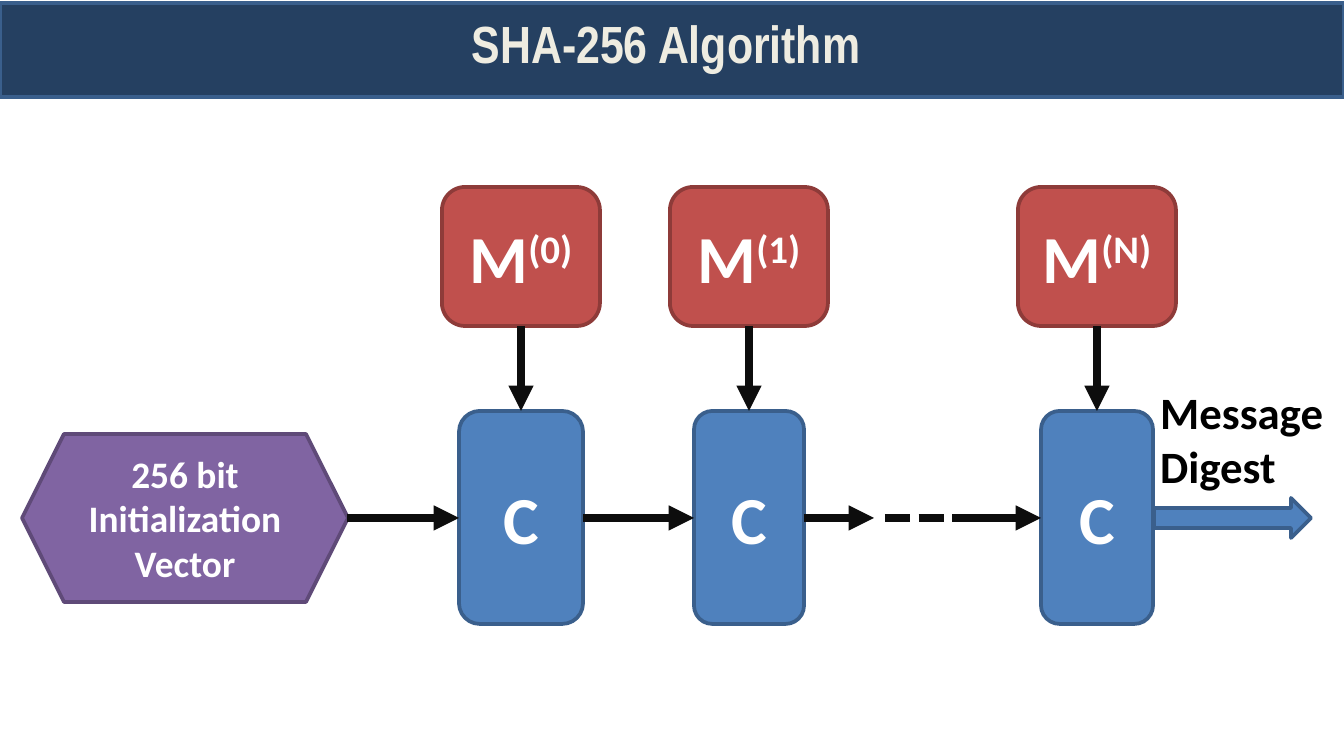
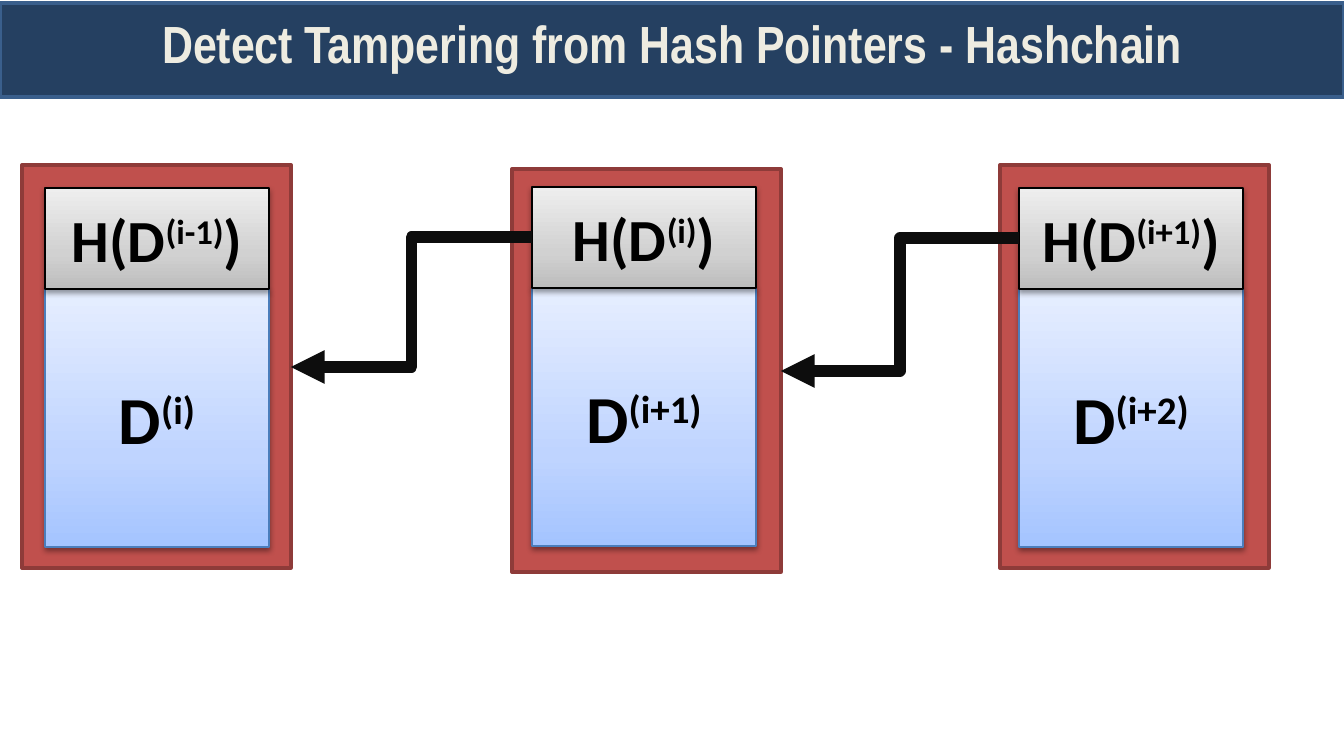
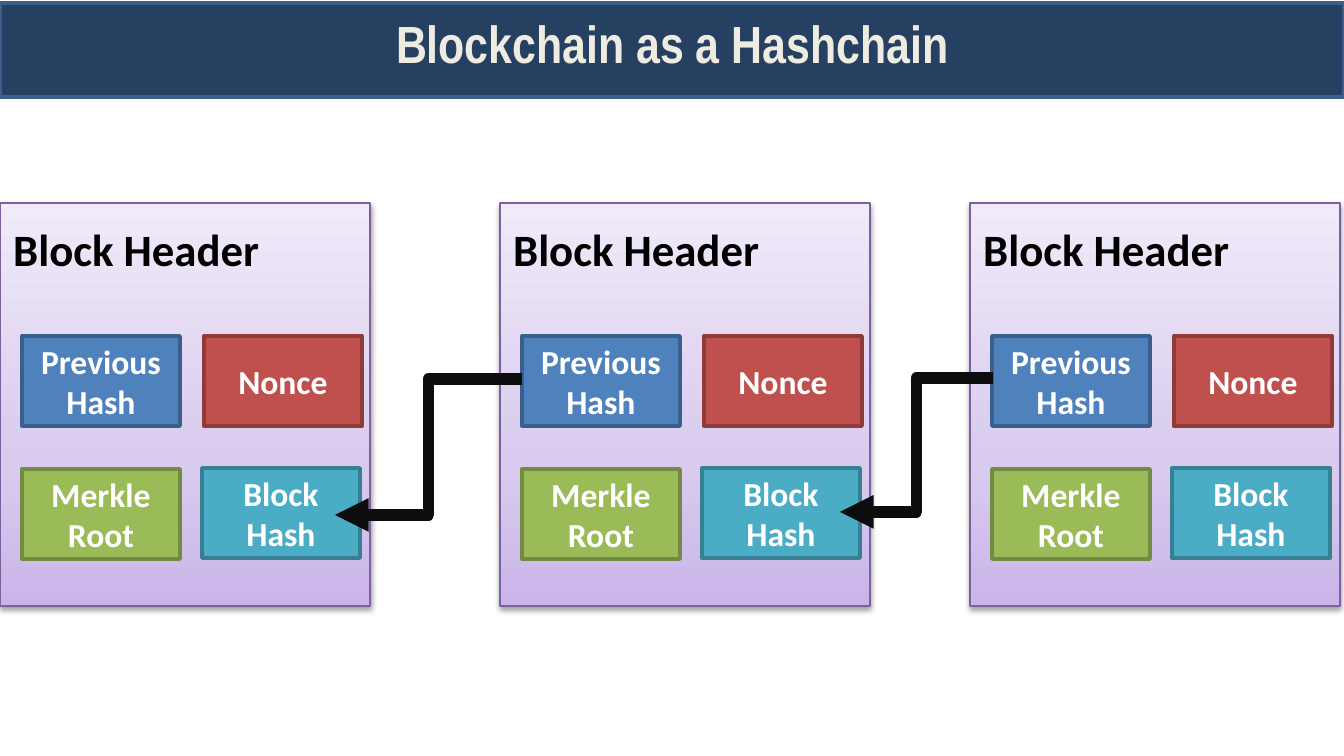
from dataclasses import dataclass
from itertools import pairwise

from lxml import etree
from pptx import Presentation
from pptx.dml.color import RGBColor
from pptx.enum.dml import MSO_LINE
from pptx.enum.shapes import MSO_CONNECTOR, MSO_SHAPE, PP_PLACEHOLDER
from pptx.enum.text import MSO_ANCHOR, MSO_AUTO_SIZE, PP_ALIGN
from pptx.oxml.ns import qn
from pptx.util import Emu, Pt

RECTANGLE = MSO_SHAPE.RECTANGLE
ROUNDED = MSO_SHAPE.ROUNDED_RECTANGLE
HEXAGON = MSO_SHAPE.HEXAGON
RIGHT_ARROW = MSO_SHAPE.RIGHT_ARROW
STRAIGHT = MSO_CONNECTOR.STRAIGHT
ELBOW = MSO_CONNECTOR.ELBOW
SHORT_DASH = MSO_LINE.SQUARE_DOT
TITLE = PP_PLACEHOLDER.TITLE
TOP = MSO_ANCHOR.TOP
MIDDLE = MSO_ANCHOR.MIDDLE
LEFT = PP_ALIGN.LEFT
CENTER = PP_ALIGN.CENTER
FIT_SHAPE = MSO_AUTO_SIZE.SHAPE_TO_FIT_TEXT
NO_FIT = MSO_AUTO_SIZE.NONE

EMU_PER_PX = 914400 / 134.4


@dataclass(frozen=True)
class Paint:
    fill: str | tuple
    line: str
    line_width: float = 2


@dataclass(frozen=True)
class Theme:
    title_font: str = "Arial Narrow"
    body_font: str = "Calibri"
    title_color: str = "EEECE1"
    light: str = "FFFFFF"
    dark: str = "000000"
    arrow: str = "0D0D0D"
    band: Paint = Paint("254061", "3A5F8C")
    blue: Paint = Paint("4F81BD", "3A5F8C")
    red: Paint = Paint("C0504D", "8E3B39")
    green: Paint = Paint("9BBB59", "738A42")
    teal: Paint = Paint("4BACC6", "377F92")
    purple: Paint = Paint("8064A2", "5F4A78")
    pale_blue: Paint = Paint(("A4C4FF", "BFD4FF", "E6EEFF"), "4B7EBC", 0.75)
    pale_gray: Paint = Paint(("BDBDBD", "D1D1D1", "EEEEEE"), "000000", 0.75)
    pale_purple: Paint = Paint(("C9B5E8", "D8CBEE", "F0EAF9"), "7D60A0", 0.75)
    title_size: int = 28
    symbol_size: int = 36
    hash_size: int = 32
    label_size: int = 24
    vector_size: int = 20
    field_size: int = 18
    chain_width: float = 4.5
    pointer_width: float = 6


THEME = Theme()


def px(*lengths):
    return [Emu(round(length * EMU_PER_PX)) for length in lengths]


def add_color(parent, color, alpha=None):
    element = etree.SubElement(parent, qn("a:srgbClr"), val=color)
    if alpha:
        etree.SubElement(element, qn("a:alpha"), val=str(alpha * 1000))


def fill_gradient(shape, colors):
    gradient = etree.SubElement(shape.element.spPr, qn("a:gradFill"), rotWithShape="1")
    stops = etree.SubElement(gradient, qn("a:gsLst"))
    for position, color in zip((0, 35, 100), colors):
        add_color(etree.SubElement(stops, qn("a:gs"), pos=str(position * 1000)), color)
    etree.SubElement(gradient, qn("a:lin"), ang=str(270 * 60000), scaled="0")


def add_soft_shadow(shape):
    effects = shape.element.spPr.find(qn("a:effectLst"))
    shadow = etree.SubElement(
        effects, qn("a:outerShdw"), blurRad=str(Pt(3.1)), dist=str(Pt(1.6)),
        dir=str(90 * 60000), rotWithShape="0",
    )
    add_color(shadow, THEME.dark, 38)


def format_run(run, size, color, font):
    run.font.size = Pt(size)
    run.font.bold = True
    run.font.name = font
    run.font.color.rgb = RGBColor.from_string(color)


def write_text(shape, parts, size, color, alignment=CENTER, font=THEME.body_font):
    paragraph = shape.text_frame.paragraphs[0]
    paragraph.alignment = alignment
    for part in parts:
        run = paragraph.add_run()
        run.text = part
        format_run(run, size, color, font)
    for superscript in shape.element.findall(".//" + qn("a:rPr"))[1::2]:
        superscript.set("baseline", "30000")


def add_box(slide, kind, bounds, paint, parts=(), size=THEME.symbol_size):
    shape = slide.shapes.add_shape(kind, *px(*bounds))
    shape.shadow.inherit = False
    shape.line.color.rgb = RGBColor.from_string(paint.line)
    shape.line.width = Pt(paint.line_width)
    text_color = THEME.light
    if isinstance(paint.fill, tuple):
        line = shape.element.spPr.find(qn("a:ln"))
        fill_gradient(shape, paint.fill)
        line.addprevious(shape.element.spPr.find(qn("a:gradFill")))
        add_soft_shadow(shape)
        text_color = THEME.dark
    else:
        shape.fill.solid()
        shape.fill.fore_color.rgb = RGBColor.from_string(paint.fill)
    if parts:
        shape.text_frame.word_wrap = True
        shape.text_frame.vertical_anchor = MIDDLE
        write_text(shape, parts, size, text_color)
    return shape


def add_label(slide, bounds, text, wrap):
    label = slide.shapes.add_textbox(*px(*bounds))
    label.text_frame.word_wrap = wrap
    label.text_frame.auto_size = FIT_SHAPE
    write_text(label, (text,), THEME.label_size, THEME.dark, LEFT)


def add_link(slide, kind, begin, end, width, dash=None):
    connector = slide.shapes.add_connector(kind, *px(*begin, *end))
    connector.line.color.rgb = RGBColor.from_string(THEME.arrow)
    connector.line.width = Pt(width)
    properties = connector.element.spPr
    if dash:
        connector.line.dash_style = dash
    else:
        etree.SubElement(properties.find(qn("a:ln")), qn("a:tailEnd"), type="triangle")
    etree.SubElement(properties, qn("a:effectLst"))


def add_titled_slide(presentation, layout, title):
    slide = presentation.slides.add_slide(layout)
    shape = slide.shapes.title
    shape.left, shape.top, shape.width, shape.height = px(0, 5, 1344, 91)
    frame = shape.text_frame
    frame.word_wrap = True
    frame.auto_size = NO_FIT
    frame.vertical_anchor = TOP
    write_text(shape, (title,), THEME.title_size, THEME.title_color, font=THEME.title_font)
    return slide


def prepare_layout(layout, slide):
    for placeholder in list(layout.placeholders):
        if placeholder.placeholder_format.type != TITLE:
            layout.shapes.element.remove(placeholder.element)
    band = add_box(slide, RECTANGLE, (0, 3, 1344, 94), THEME.band)
    layout.shapes.element.insert(2, band.element)


def draw_sha_chain(slide):
    axis = 518
    add_box(slide, HEXAGON, (22, 434, 326, 168), THEME.purple,
            ("256 bit Initialization Vector",), THEME.vector_size)
    for center, width, index in ((521, 124, "(0)"), (749, 110, "(1)"), (1097, 112, "(N)")):
        add_box(slide, ROUNDED, (center - width // 2, 411, width, 213), THEME.blue, ("C",))
        add_box(slide, ROUNDED, (center - 79, 187, 158, 139), THEME.red, ("M", index))
        add_link(slide, STRAIGHT, (center, 326), (center, 411), THEME.chain_width)
    for begin, end, dash in (
        (347, 459, None), (583, 694, None), (804, 874, None),
        (974, 1041, None), (885, 974, SHORT_DASH),
    ):
        add_link(slide, STRAIGHT, (begin, axis), (end, axis), THEME.chain_width, dash)
    add_box(slide, RIGHT_ARROW, (1154, axis - 20, 157, 40), THEME.blue)
    add_label(slide, (1147, 378, 197, 122), "Message Digest", True)


def draw_hash_pointers(slide):
    blocks = (
        (22, 165, 45, 188, "(i-1)", "(i)"),
        (512, 169, 532, 187, "(i)", "(i+1)"),
        (1000, 165, 1019, 188, "(i+1)", "(i+2)"),
    )
    for left, top, inner_left, inner_top, previous, current in blocks:
        add_box(slide, RECTANGLE, (left, top, 269, 403), THEME.red)
        add_box(slide, RECTANGLE, (inner_left, inner_top + 101, 224, 258),
                THEME.pale_blue, ("D", current))
        add_box(slide, RECTANGLE, (inner_left, inner_top, 224, 101),
                THEME.pale_gray, ("H(D", previous, ")"), THEME.hash_size)
    for target, source in pairwise(blocks):
        add_link(slide, ELBOW, (source[2], source[3] + 50),
                 (target[0] + 269, target[1] + 202), THEME.pointer_width)


def draw_blockchain(slide):
    fields = (
        (22, 336, THEME.blue, "Previous Hash"),
        (204, 336, THEME.red, "Nonce"),
        (22, 469, THEME.green, "Merkle Root"),
        (202, 468, THEME.teal, "Block Hash"),
    )
    for left in (0, 500, 970):
        add_box(slide, RECTANGLE, (left, 203, 370, 403), THEME.pale_purple)
        add_label(slide, (left, 215, 276, 67), "Block Header", False)
        for offset, top, paint, name in fields:
            add_box(slide, RECTANGLE, (left + offset, top, 158, 90), paint,
                    (name,), THEME.field_size)
    for begin, end in (((993, 378), (840, 512)), ((522, 379), (335, 515))):
        add_link(slide, ELBOW, begin, end, THEME.pointer_width)


def main():
    presentation = Presentation()
    presentation.slide_width, presentation.slide_height = px(1344, 756)
    layout = presentation.slide_layouts[5]
    contents = (
        ("SHA-256 Algorithm ", draw_sha_chain),
        ("Detect Tampering from Hash Pointers - Hashchain", draw_hash_pointers),
        ("Blockchain as a Hashchain", draw_blockchain),
    )
    slides = [add_titled_slide(presentation, layout, title) for title, _ in contents]
    prepare_layout(layout, slides[0])
    for slide, (_, draw) in zip(slides, contents):
        draw(slide)
    presentation.save("out.pptx")


if __name__ == "__main__":
    main()
